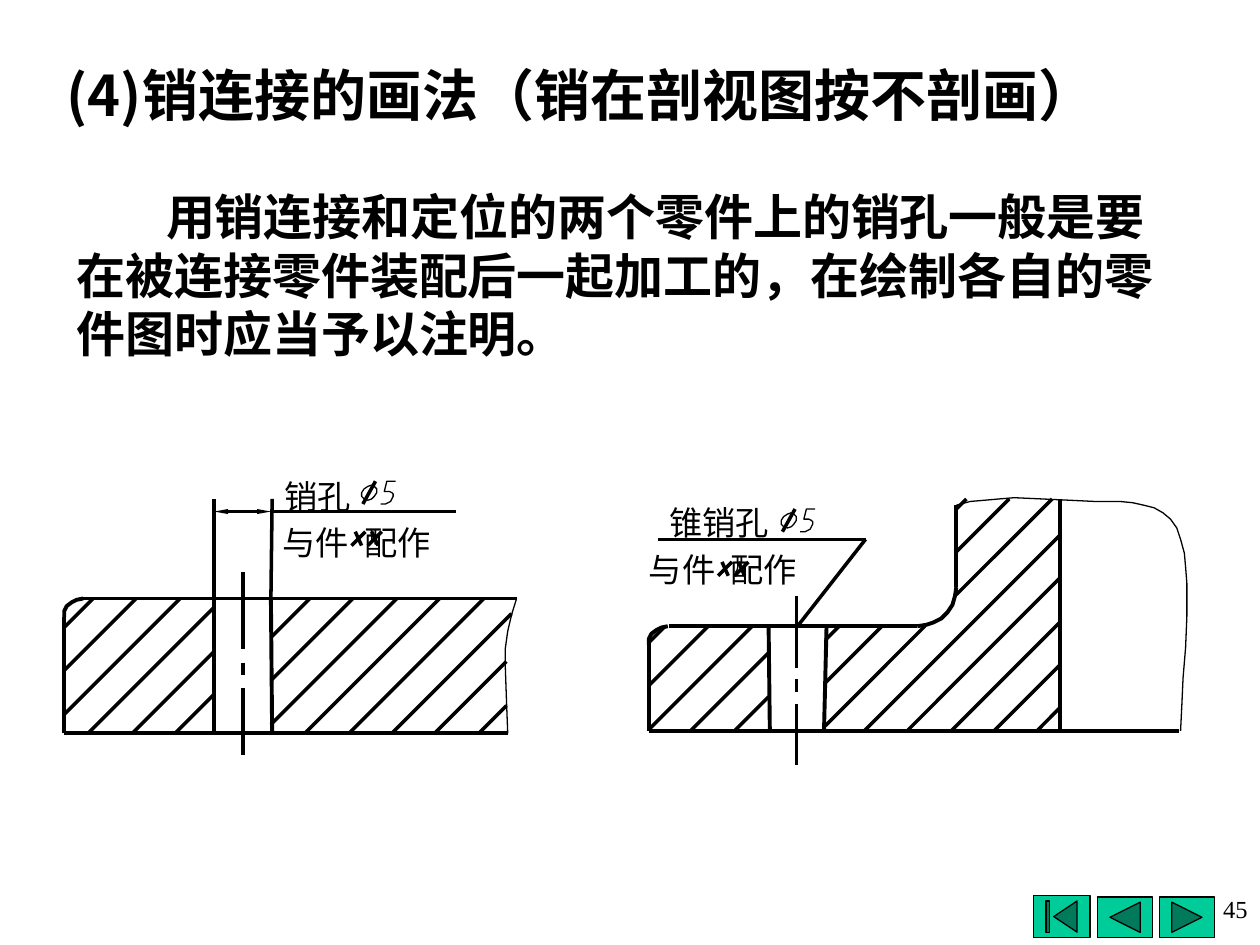
from lxml import etree
from pptx import Presentation
from pptx.dml.color import RGBColor
from pptx.enum.shapes import MSO_CONNECTOR, MSO_SHAPE
from pptx.enum.text import MSO_ANCHOR, MSO_AUTO_SIZE, PP_ALIGN
from pptx.oxml.ns import qn
from pptx.util import Pt

PX = 9144  # EMU in one px, 100 px to the inch
STRAIGHT = MSO_CONNECTOR.STRAIGHT
LEFT, RIGHT = PP_ALIGN.LEFT, PP_ALIGN.RIGHT
TOP, MIDDLE = MSO_ANCHOR.TOP, MSO_ANCHOR.MIDDLE
BUTTON_FIRST = MSO_SHAPE.ACTION_BUTTON_BEGINNING
BUTTON_BACK = MSO_SHAPE.ACTION_BUTTON_BACK_OR_PREVIOUS
BUTTON_NEXT = MSO_SHAPE.ACTION_BUTTON_FORWARD_OR_NEXT

COLORS = {"ink": "000000", "button": "00CC99"}
HAIR, THICK = 0, 2.25
CJK, SERIF = "Noto Sans CJK SC", "Times New Roman"
HEADING = {"name": CJK, "size": Pt(32), "bold": True}
BODY = {"name": SERIF, "size": Pt(28), "bold": True}
NOTE = {"name": CJK, "size": Pt(19), "bold": False}
NUMBER = {"name": SERIF, "size": Pt(14), "bold": False}


def color(name):
    return RGBColor.from_string(COLORS[name])


class Drafter:
    """Draws on one slide, or in the group that is open on it."""

    def __init__(self, slide):
        self.slide = slide
        self.shapes = slide.shapes

    def start_group(self):
        self.shapes = self.slide.shapes.add_group_shape().shapes

    def end_group(self):
        self.shapes = self.slide.shapes

    def set_text(self, shape, text, font, spacing=None, align=LEFT, anchor=TOP,
                 inset=(10, 5), wrap=True, indent=0, tab=0):
        frame = shape.text_frame
        side, end = (length * PX for length in inset)
        layout = {"margin_left": side, "margin_right": side, "margin_top": end,
                  "margin_bottom": end, "vertical_anchor": anchor,
                  "word_wrap": wrap, "auto_size": MSO_AUTO_SIZE.NONE}
        for key, value in layout.items():
            setattr(frame, key, value)
        paragraph = frame.paragraphs[0]
        paragraph.alignment = align
        if spacing:
            paragraph.line_spacing = Pt(spacing)
        properties = paragraph._p.get_or_add_pPr()
        if indent:
            properties.set("marL", "0")
            properties.set("indent", str(indent * PX))
        if tab:
            tabs = etree.SubElement(properties, qn("a:tabLst"))
            etree.SubElement(tabs, qn("a:tab"), pos=str(tab * PX), algn="l")
        run = paragraph.add_run()
        run.text = text
        for key, value in font.items():
            setattr(run.font, key, value)
        run.font.color.rgb = color("ink")
        etree.SubElement(run._r.get_or_add_rPr(), qn("a:ea"), typeface=CJK)

    def title(self, x, y, w, h, text, font, **layout):
        holder = self.slide.shapes.title
        for key, value in {"left": x, "top": y, "width": w, "height": h}.items():
            setattr(holder, key, value * PX)
        self.set_text(holder, text, font, **layout)

    def text(self, x, y, w, h, text, font, **layout):
        box = self.shapes.add_textbox(x * PX, y * PX, w * PX, h * PX)
        self.set_text(box, text, font, **layout)

    def button(self, kind, x, y, w, h):
        shape = self.shapes.add_shape(kind, x * PX, y * PX, w * PX, h * PX)
        shape.shadow.inherit = False
        shape.fill.solid()
        shape.fill.fore_color.rgb = color("button")
        shape.line.color.rgb = color("ink")
        shape.line.width = Pt(0.75)

    def line(self, x1, y1, x2, y2, width=HAIR):
        line = self.shapes.add_connector(STRAIGHT, x1 * PX, y1 * PX, x2 * PX, y2 * PX)
        line.line.color.rgb = color("ink")
        line.line.width = Pt(width)
        etree.SubElement(line._element.spPr, qn("a:effectLst"))

    def lines(self, ends, width=HAIR):
        for end in ends:
            self.line(*end, width)

    def outline(self, points, width=HAIR, x=0, y=0, closed=False, filled=False):
        points = [(x + dx, y + dy) for dx, dy in points]
        builder = self.shapes.build_freeform(*points[0], scale=PX)
        builder.add_line_segments(points[1:], close=closed)
        shape = builder.convert_to_shape()
        shape.shadow.inherit = False
        if filled:
            shape.fill.solid()
            shape.fill.fore_color.rgb = color("ink")
            shape.line.fill.background()
        else:
            shape.fill.background()
            shape.line.color.rgb = color("ink")
            shape.line.width = Pt(width)

    def hatch(self, first, indexes, left, top, right, bottom):
        """45-degree lines x + y = constant, clipped to a rectangle."""
        for index in indexes:
            total = round(first + 34.4 * index)
            x1, x2 = max(left, total - bottom), min(right, total - top)
            self.line(x1, total - x1, x2, total - x2)

    def diameter_five(self, x, y):
        self.line(x + 1, y + 18, x + 11, y)
        self.outline([(12, 9), (12, 6), (10, 4), (8, 3), (5, 4), (2, 6), (0, 9),
                      (0, 12), (2, 14), (5, 15), (8, 14), (10, 12)],
                     x=x, y=y, closed=True)
        self.outline([(15, 18), (19, 18), (21, 17), (23, 16), (24, 14), (25, 12),
                      (25, 10), (24, 9), (22, 8), (18, 8), (20, 0), (27, 0)], x=x, y=y)

    def part_number(self, x, y):
        for left in (x, x + 13):
            self.line(left, y + 11, left + 11, y)
            self.line(left + 3, y, left + 8, y + 11)

    def round_corner(self, x, y):
        self.outline([(15, 0), (10, 1), (6, 3), (2, 6), (0, 10), (0, 15)], THICK, x, y)

    def center_line(self, x, *spans):
        for top, bottom in spans:
            self.line(x, top, x, bottom)

    def note(self, x, y, w, text):
        self.text(x, y, w, 32, text, NOTE, spacing=23, inset=(0, 0), wrap=False, tab=65)


def draw_straight_hole(pen):
    pen.start_group()
    # Dimension and note
    pen.lines([(170, 475, 170, 396), (215, 475, 216, 396),
               (181, 406, 204, 406), (215, 406, 362, 406)])
    for tip, base in ((170, 181), (215, 204)):
        pen.outline([(base, 404), (base, 408), (tip, 406)], closed=True, filled=True)
    pen.note(226, 378, 53, "销孔")
    pen.note(224, 414, 132, "与件\t配作")
    pen.diameter_five(287, 382)
    pen.part_number(279, 422)
    # Plate, broken off at the right
    pen.outline([(403, 582), (402, 556), (401, 528), (401, 515),
                 (403, 501), (406, 488), (410, 475)])
    pen.lines([(215, 475, 216, 582), (170, 475, 170, 582), (51, 582, 51, 490),
               (66, 475, 410, 475), (51, 582, 403, 582)], THICK)
    pen.round_corner(51, 475)
    # Hatching
    for indexes, left, right in ((range(6), 51, 170), (range(5, 10), 215, 410),
                                 (range(10, 11), 215, 406), (range(11, 13), 215, 402)):
        pen.hatch(549, indexes, left, 475, right, 582)
    pen.center_line(193, (546, 599), (526, 536), (454, 515))
    pen.end_group()


def draw_taper_hole(pen):
    pen.start_group()
    # Leader and note
    pen.lines([(633, 497, 687, 428), (687, 428, 522, 428)])
    pen.note(515, 436, 132, "与件\t配作")
    pen.note(531, 398, 79, "锥销孔")
    pen.diameter_five(620, 404)
    pen.part_number(570, 446)
    # Base and wall, with the fillet between them
    pen.lines([(531, 497, 728, 497), (515, 580, 515, 512), (515, 580, 936, 580),
               (759, 401, 759, 466), (841, 397, 841, 580),
               (654, 580, 656, 497), (611, 580, 610, 497)], THICK)
    pen.round_corner(515, 497)
    pen.outline([(728, 497), (735, 496), (741, 494), (747, 491),
                 (752, 486), (756, 480), (758, 473), (759, 466)], THICK)
    # Break line of the body
    pen.outline([(759, 401), (770, 398), (782, 397), (793, 396), (805, 395), (827, 396),
                 (848, 397), (869, 398), (889, 398), (899, 399), (908, 401), (916, 403),
                 (923, 407), (929, 412), (934, 419), (937, 428), (940, 439), (941, 450),
                 (942, 463), (942, 489), (941, 514), (939, 538), (938, 560), (937, 580)])
    # Hatching
    pen.hatch(1025, range(5), 515, 497, 610, 580)
    pen.hatch(1025, range(4, 7), 655, 497, 841, 580)
    pen.hatch(1025, range(4, 7), 759, 396, 841, 497)
    pen.hatch(1025, range(7, 12), 655, 397, 841, 580)
    pen.center_line(632, (559, 607), (539, 549), (473, 530))
    pen.end_group()


def main():
    deck = Presentation()
    deck.slide_width, deck.slide_height = 1000 * PX, 750 * PX
    pen = Drafter(deck.slides.add_slide(deck.slide_layouts[5]))

    # Navigation buttons and page number
    pen.button(BUTTON_NEXT, 920, 712, 44, 32)
    pen.button(BUTTON_BACK, 871, 712, 44, 32)
    pen.button(BUTTON_FIRST, 820, 711, 45, 33)
    pen.text(748, 705, 252, 40, "45", NUMBER, align=RIGHT)

    # Heading and explanation
    pen.title(43, 42, 902, 64, "(4)销连接的画法（销在剖视图按不剖画）", HEADING,
              spacing=39, anchor=MIDDLE)
    pen.text(51, 143, 874, 150,
             "用销连接和定位的两个零件上的销孔一般是要在被连接零件装配后一起加工的，"
             "在绘制各自的零件图时应当予以注明。",
             BODY, spacing=33.4, anchor=MIDDLE, indent=71)

    draw_straight_hole(pen)
    draw_taper_hole(pen)
    deck.save("out.pptx")


if __name__ == "__main__":
    main()
